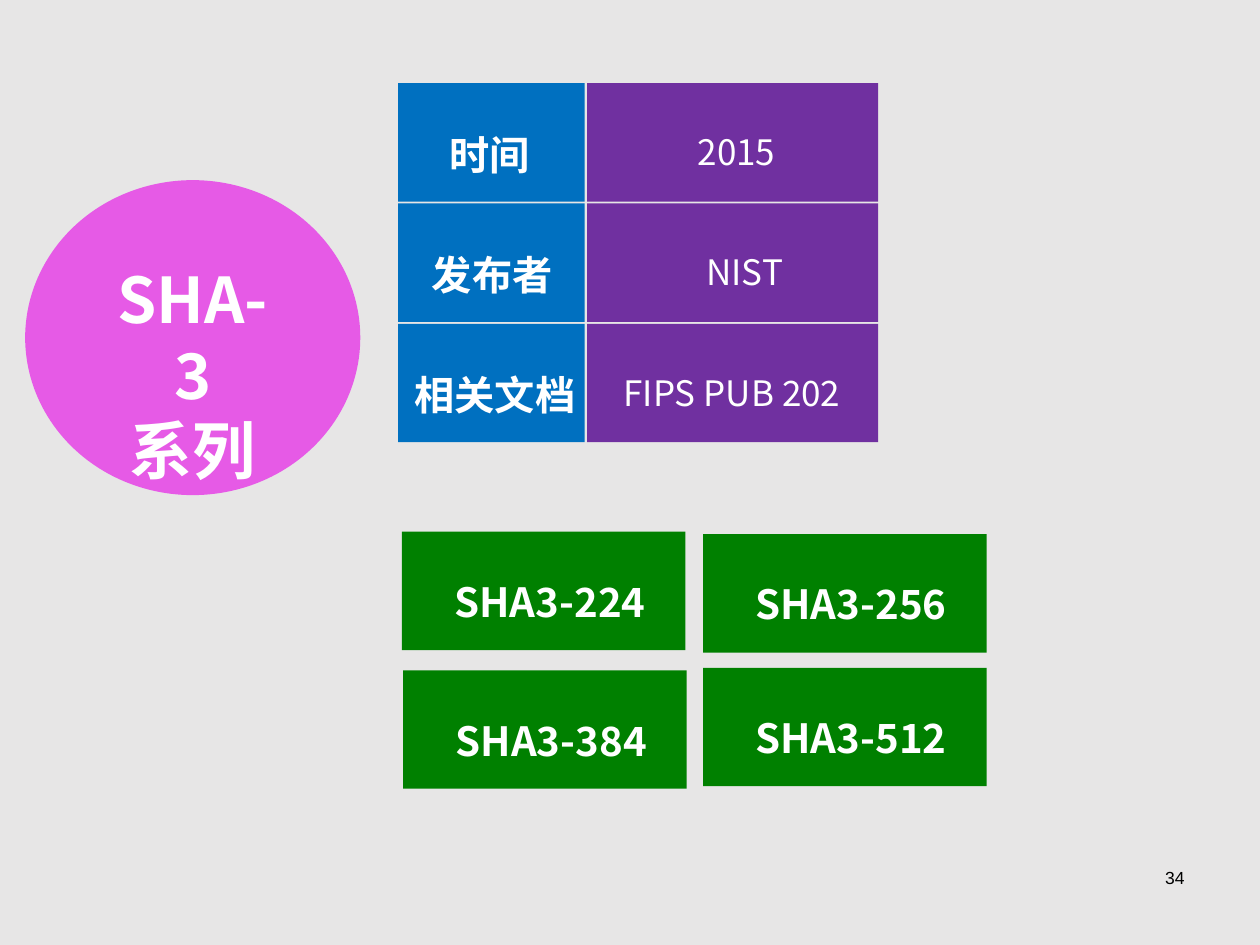
from dataclasses import dataclass

from lxml import etree
from pptx import Presentation
from pptx.dml.color import RGBColor
from pptx.enum.shapes import MSO_SHAPE
from pptx.enum.text import PP_ALIGN
from pptx.oxml.ns import qn
from pptx.util import Inches, Pt

OVAL, RECTANGLE = MSO_SHAPE.OVAL, MSO_SHAPE.RECTANGLE
LEFT, CENTER, RIGHT = PP_ALIGN.LEFT, PP_ALIGN.CENTER, PP_ALIGN.RIGHT


@dataclass(frozen=True)
class Theme:
    background: str = "E7E6E6"
    family: str = "E65AE6"
    label: str = "0070C0"
    value: str = "7030A0"
    variant: str = "008000"
    light: str = "FFFFFF"
    dark: str = "000000"
    font: str = "Noto Sans CJK SC"
    number_font: str = "Arial"
    family_size: int = 36
    label_size: int = 23
    value_size: int = 20
    number_size: int = 10
    line_height: float = 1.2
    loose: float = 1.5


THEME = Theme()
FAMILY = ["SHA-3", "系列"]
PAGE_NUMBER = "34"

# label, label left, label width, value, value left, value width, value alignment
FACTS = [
    ("时间", 3.47, 1.01, "2015", 4.72, 2.25, CENTER),
    ("发布者", 3.33, 1.25, "NIST", 4.85, 2.12, CENTER),
    ("相关文档", 3.19, 1.5, "FIPS PUB 202", 4.85, 2.32, LEFT),
]
VARIANTS = [
    ("SHA3-224", 3.19, 4.22),
    ("SHA3-256", 5.58, 4.24),
    ("SHA3-384", 3.2, 5.32),
    ("SHA3-512", 5.58, 5.3),
]
FACT_TOP, FACT_PITCH, TILE_HEIGHT = 0.66, 0.955, 0.94


def add_block(page, kind, color, left, top, width, height):
    block = page.shapes.add_shape(
        kind, Inches(left), Inches(top), Inches(width), Inches(height))
    block.shadow.inherit = False
    block.fill.solid()
    block.fill.fore_color.rgb = RGBColor.from_string(color)
    block.line.fill.background()


def add_text(page, lines, left, top, width, height, size, align=CENTER,
             bold=False, color=THEME.light, font=THEME.font, spacing=1):
    box = page.shapes.add_textbox(
        Inches(left), Inches(top), Inches(width), Inches(height))
    frame = box.text_frame
    frame.word_wrap = True
    frame.text = "\n".join(lines)
    for para in frame.paragraphs:
        para.alignment = align
        para.line_spacing = Pt(round(size * THEME.line_height * spacing, 1))
        para.font.size = Pt(size)
        para.font.bold = bold
        para.font.color.rgb = RGBColor.from_string(color)
        para.font.name = font
        defaults = para._p.pPr.find(qn("a:defRPr"))
        etree.SubElement(defaults, qn("a:ea"), typeface=font)


def add_facts(page):
    for row, (label, label_left, label_width, value, value_left,
              value_width, align) in enumerate(FACTS):
        top = FACT_TOP + row * FACT_PITCH
        add_block(page, RECTANGLE, THEME.value, 4.66, top, 2.31, TILE_HEIGHT)
        add_text(page, [value], value_left, top + 0.16, value_width, 0.6,
                 THEME.value_size, align, spacing=THEME.loose)
        add_block(page, RECTANGLE, THEME.label, 3.16, top, 1.48, TILE_HEIGHT)
        add_text(page, [label], label_left, top + 0.13, label_width, 0.68,
                 THEME.label_size, LEFT, bold=True, spacing=THEME.loose)


def add_variants(page):
    for name, left, top in VARIANTS:
        add_block(page, RECTANGLE, THEME.variant, left, top, 2.25, TILE_HEIGHT)
        add_text(page, [name], left + 0.15, top + 0.12, 2.05, 0.68,
                 THEME.label_size, bold=True, spacing=THEME.loose)


def main():
    deck = Presentation()
    deck.slide_width, deck.slide_height = Inches(10), Inches(7.5)
    page = deck.slides.add_slide(deck.slide_layouts[6])
    page.background.fill.solid()
    page.background.fill.fore_color.rgb = RGBColor.from_string(THEME.background)

    add_text(page, [PAGE_NUMBER], 7.17, 6.83, 2.33, 0.52, THEME.number_size,
             RIGHT, color=THEME.dark, font=THEME.number_font)
    add_block(page, OVAL, THEME.family, 0.2, 1.43, 2.66, 2.5)
    add_text(page, FAMILY, 0.73, 2.02, 1.6, 1.3, THEME.family_size, bold=True)
    add_variants(page)
    add_facts(page)
    deck.save("out.pptx")


if __name__ == "__main__":
    main()
